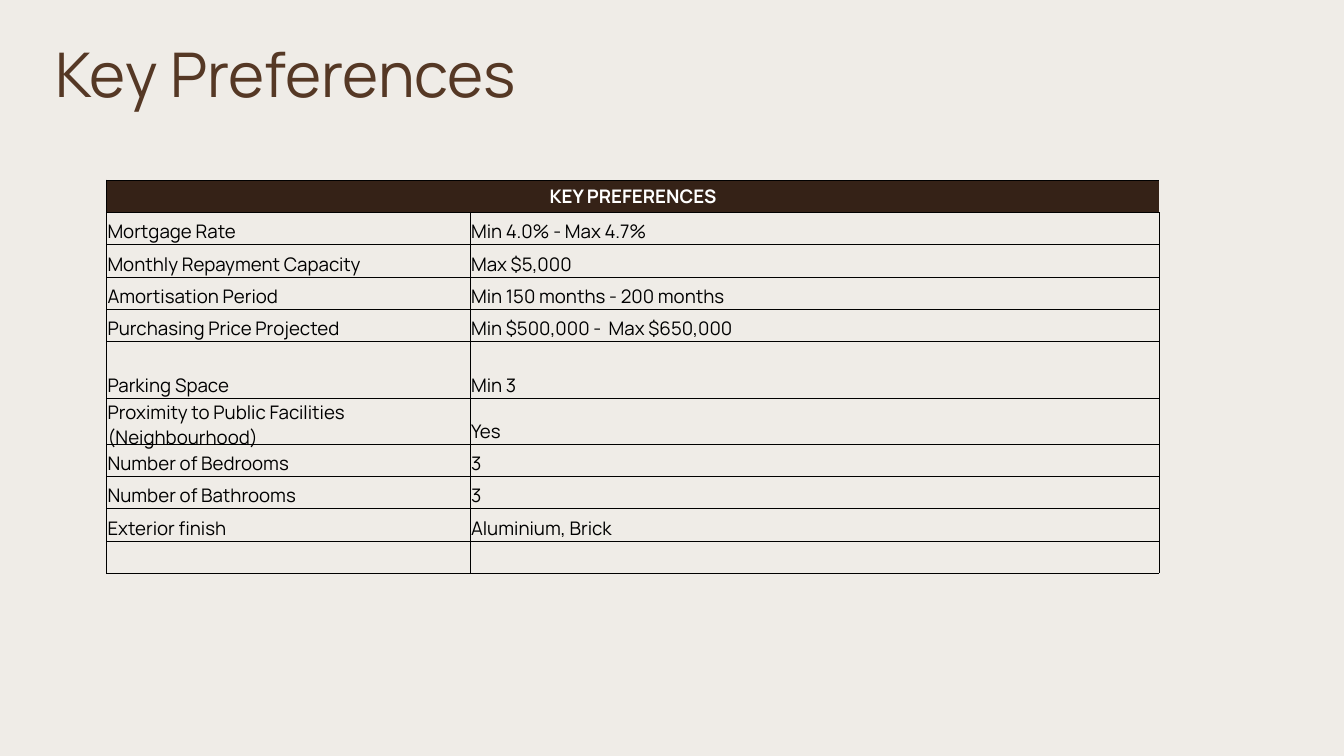
from pptx import Presentation
from pptx.dml.color import RGBColor
from pptx.enum.text import MSO_ANCHOR as Anchor, MSO_AUTO_SIZE as AutoSize, PP_ALIGN as Align
from pptx.oxml import parse_xml
from pptx.oxml.ns import nsdecls
from pptx.util import Pt

PX = 9144  # 100 px to the inch
FONT = "Manrope"
CREAM = RGBColor(0xEF, 0xEC, 0xE7)
BROWN = RGBColor(0x55, 0x38, 0x25)
DARK_BROWN = RGBColor(0x35, 0x22, 0x17)
BLACK = RGBColor(0, 0, 0)
WHITE = RGBColor(0xFF, 0xFF, 0xFF)

HEADING = "KEY PREFERENCES"
PREFERENCES = [
    ("Mortgage Rate", "Min 4.0% - Max 4.7%"),
    ("Monthly Repayment Capacity", "Max $5,000"),
    ("Amortisation Period", "Min 150 months - 200 months"),
    ("Purchasing Price Projected", "Min $500,000 -  Max $650,000"),
    ("Parking Space", "Min 3"),
    ("Proximity to Public Facilities (Neighbourhood)", "Yes"),
    ("Number of Bedrooms", "3"),
    ("Number of Bathrooms", "3"),
    ("Exterior finish", "Aluminium, Brick"),
    ("", ""),
]
COLUMN_WIDTHS = (541, 1025)
ROW_HEIGHT = 48
TALL_ROW, TALL_HEIGHT = 5, 85
TABLE_HEIGHT = 583


def px(length):
    return length * PX


def format_runs(paragraph, size, color, bold=False):
    for run in paragraph.runs:
        run.font.name = FONT
        run.font.size = Pt(size)
        run.font.bold = bold
        run.font.color.rgb = color


def set_title(slide, text):
    title = slide.shapes.title
    title.left, title.top, title.width, title.height = map(px, (83, 54, 1900, 121))
    frame = title.text_frame
    frame.text = text
    frame.word_wrap = True
    frame.auto_size = AutoSize.SHAPE_TO_FIT_TEXT
    frame.vertical_anchor = Anchor.TOP
    frame.margin_left = frame.margin_top = frame.margin_right = frame.margin_bottom = 0
    paragraph = frame.paragraphs[0]
    paragraph.alignment = Align.LEFT
    format_runs(paragraph, 66, BROWN)


def set_borders(cell, left, right, top, bottom):
    """Draw black cell borders of the given point widths; 0 means no line."""
    properties = cell._tc.get_or_add_tcPr()
    for side, width in zip("LRTB", (left, right, top, bottom)):
        fill = f'<a:solidFill><a:srgbClr val="{BLACK}"/></a:solidFill>' if width else "<a:noFill/>"
        properties.append(parse_xml(
            f'<a:ln{side} {nsdecls("a")} w="{Pt(width)}">{fill}</a:ln{side}>'))


def set_cell(cell, text, color, bottom_margin, align=Align.LEFT, bold=False):
    cell.margin_left = cell.margin_top = cell.margin_right = px(1)
    cell.margin_bottom = px(bottom_margin)
    cell.vertical_anchor = Anchor.BOTTOM
    cell.text_frame.text = text
    paragraph = cell.text_frame.paragraphs[0]
    paragraph.alignment = align
    format_runs(paragraph, 20, color, bold)


def add_preferences_table(slide):
    row_count = len(PREFERENCES) + 1
    frame = slide.shapes.add_table(row_count, len(COLUMN_WIDTHS), px(159), px(268),
                                   px(sum(COLUMN_WIDTHS)), px(TABLE_HEIGHT))
    table = frame.table
    table.first_row = table.horz_banding = False
    for column, width in zip(table.columns, COLUMN_WIDTHS):
        column.width = px(width)
    for index, row in enumerate(table.rows):
        row.height = px(TALL_HEIGHT if index == TALL_ROW else ROW_HEIGHT)
    frame.height = px(TABLE_HEIGHT)

    # Heading across both columns
    heading = table.cell(0, 0)
    heading.merge(table.cell(0, 1))
    set_cell(heading, HEADING, WHITE, 5, Align.CENTER, bold=True)
    for cell in table.rows[0].cells:
        set_borders(cell, 0 if cell.is_spanned else 1, 0, 1, 0.5)
        cell.fill.solid()
        cell.fill.fore_color.rgb = DARK_BROWN

    # Preference rows
    for row_index, texts in enumerate(PREFERENCES, start=1):
        for column_index, text in enumerate(texts):
            cell = table.cell(row_index, column_index)
            set_cell(cell, text, BLACK, 0)
            set_borders(cell, 1 if column_index == 0 else 0.5, 0.5, 0.5,
                        1 if row_index == row_count - 1 else 0.5)
            cell.fill.background()


def main():
    presentation = Presentation()
    presentation.slide_width, presentation.slide_height = px(2000), px(1125)
    slide = presentation.slides.add_slide(presentation.slide_layouts[5])
    slide.background.fill.solid()
    slide.background.fill.fore_color.rgb = CREAM
    set_title(slide, "Key Preferences")
    add_preferences_table(slide)
    presentation.save("out.pptx")


if __name__ == "__main__":
    main()
